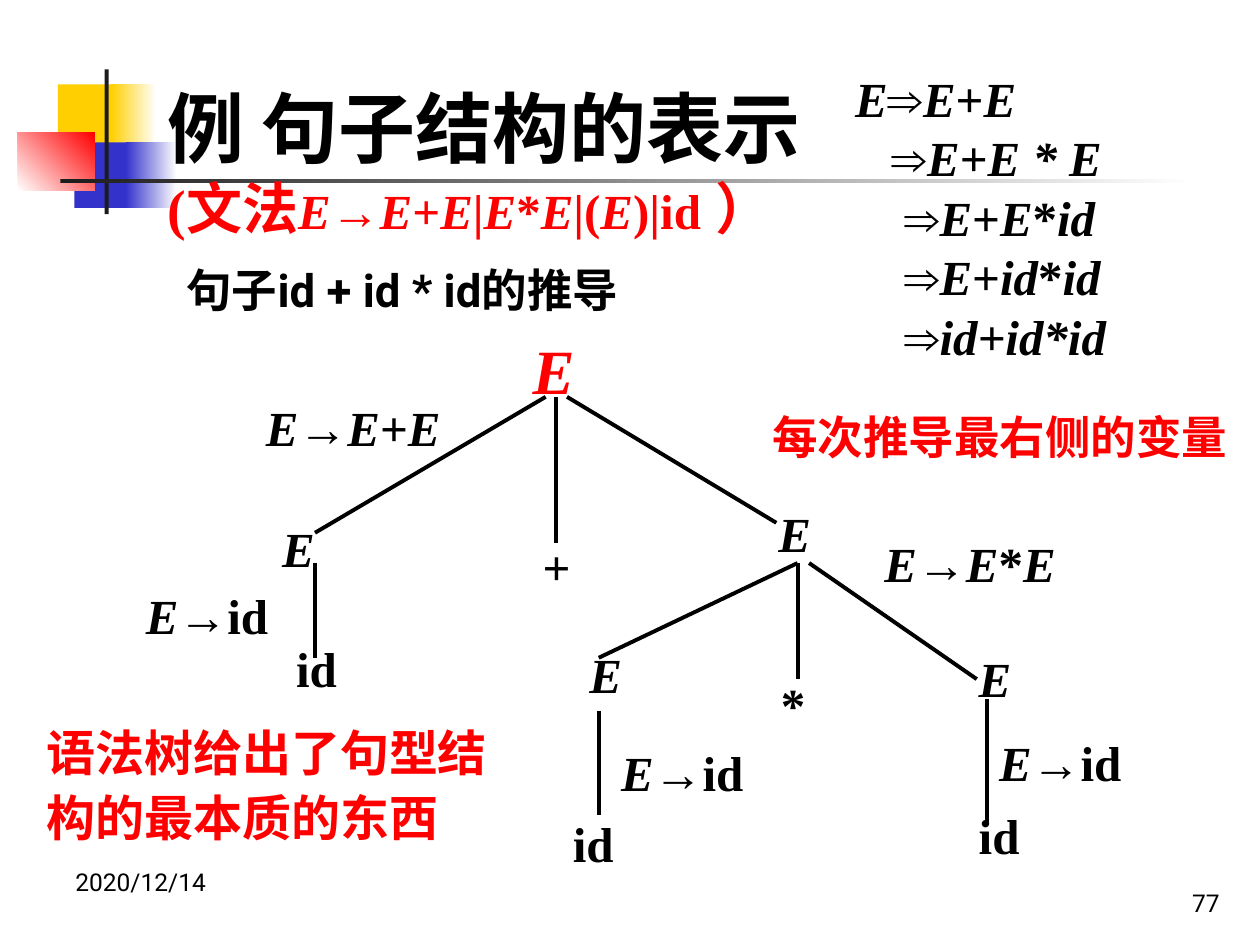
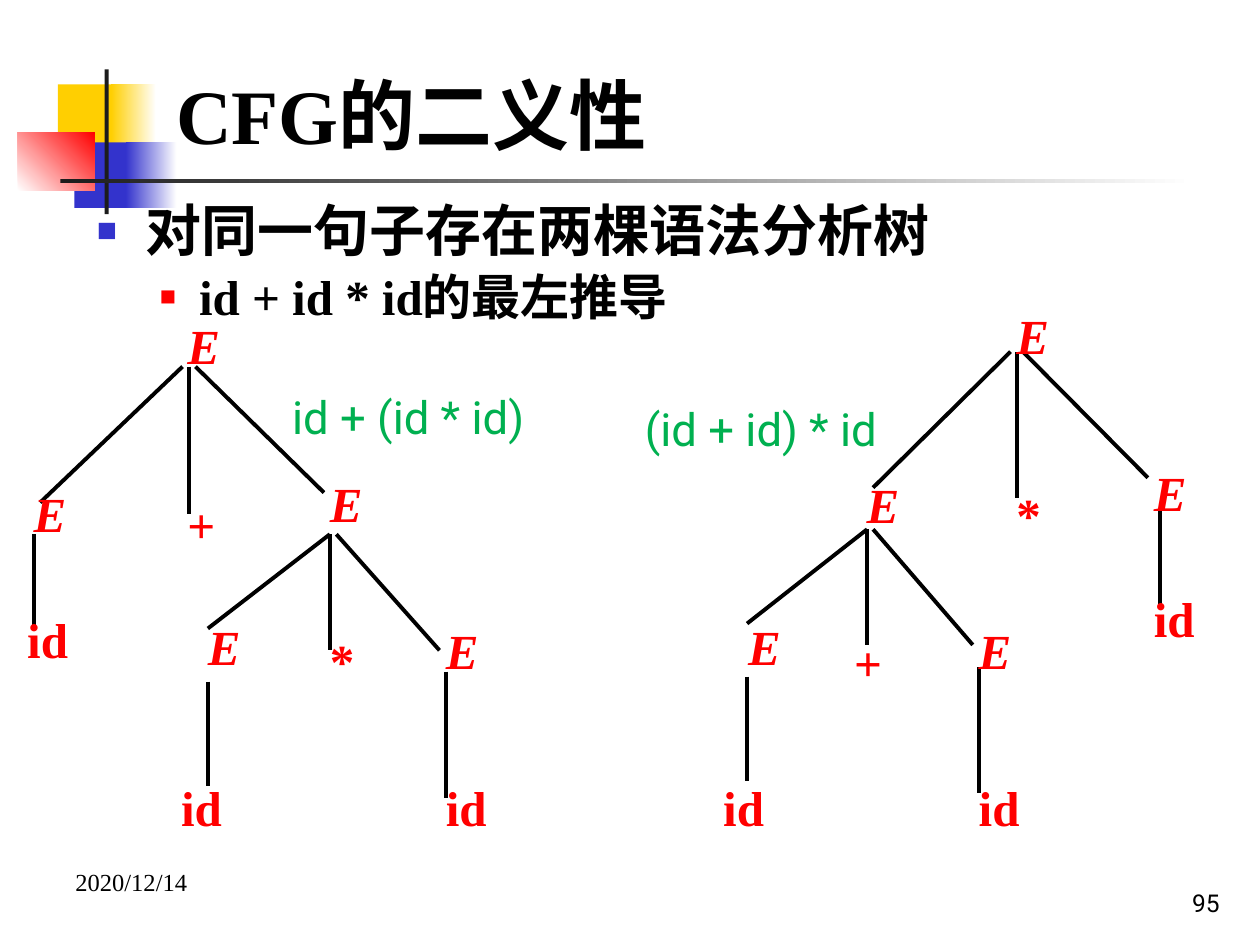
from lxml.etree import SubElement
from pptx import Presentation
from pptx.dml.color import RGBColor
from pptx.enum.shapes import MSO_CONNECTOR as Connector, MSO_SHAPE as Preset
from pptx.enum.text import MSO_ANCHOR as Anchor, MSO_AUTO_SIZE as AutoSize, PP_ALIGN as Align
from pptx.oxml.ns import qn
from pptx.util import Cm, Pt

BLACK, WHITE, RED = "000000", "FFFFFF", "FF0000"
YELLOW, BLUE, GREEN, INK = "FFCF01", "3333CC", "00B050", "1C1C1C"
SERIF, SANS = "Times New Roman", "Roboto"
NODE_HEIGHT = 1.55


def rgb(value):
    return RGBColor.from_string(value)


# Text: underscores switch italics on and off
def write(paragraph, text, size=28, font=SERIF, color=BLACK, bold=True,
          align=Align.LEFT, line=None, before=0, indent=0):
    paragraph.alignment = align
    paragraph.space_before = Pt(before)
    if line:
        paragraph.line_spacing = line
    if indent:
        paragraph._p.get_or_add_pPr().set("marL", str(Cm(indent)))
    for i, part in enumerate(text.split("_")):
        if not part:
            continue
        run = paragraph.add_run()
        run.text = part
        run.font.size = Pt(size)
        run.font.name = font
        run.font.color.rgb = rgb(color)
        run.font.bold = bold
        run.font.italic = i % 2 == 1


def text_box(slide, place, wrap=True, anchor=Anchor.TOP, grow=True):
    frame = slide.shapes.add_textbox(*map(Cm, place)).text_frame
    frame.word_wrap = wrap
    frame.vertical_anchor = anchor
    frame.auto_size = AutoSize.SHAPE_TO_FIT_TEXT if grow else AutoSize.NONE
    return frame


def label(slide, text, place, wrap=True, anchor=Anchor.TOP, grow=True, **style):
    frame = text_box(slide, place, wrap, anchor, grow)
    write(frame.paragraphs[0], text, **style)


def fill_placeholder(placeholder, place, anchor):
    placeholder.left, placeholder.top, placeholder.width, placeholder.height = map(Cm, place)
    frame = placeholder.text_frame
    frame.word_wrap = True
    frame.auto_size = AutoSize.NONE
    frame.vertical_anchor = anchor
    return frame


def bullet(paragraph, color, percent, left, hanging):
    props = paragraph._p.get_or_add_pPr()
    props.set("marL", str(Cm(left)))
    props.set("indent", str(-Cm(hanging)))
    SubElement(SubElement(props, qn("a:buClr")), qn("a:srgbClr")).set("val", color)
    SubElement(props, qn("a:buSzPct")).set("val", str(percent * 1000))
    SubElement(props, qn("a:buChar")).set("char", "■")


# Syntax trees
def nodes(slide, items, width, color):
    for text, left, top in items:
        label(slide, text, (left, top, width, NODE_HEIGHT), color=color, line=1.1)


def branches(slide, starts, top, ends):
    for start, (x, y) in zip(starts, ends):
        edge = slide.shapes.add_connector(
            Connector.STRAIGHT, Cm(start), Cm(top), Cm(x), Cm(y))
        edge.line.color.rgb = rgb(BLACK)
        edge.line.width = Pt(2.25)
        SubElement(edge._element.spPr, qn("a:effectLst"))


def stems(slide, items):
    for x, top, bottom in items:
        branches(slide, [x], top, [(x, bottom)])


# Shared emblem and rule, placed on the master
def block(slide, place, first, last=None, angle=0):
    shape = slide.shapes.add_shape(Preset.RECTANGLE, *map(Cm, place))
    shape.shadow.inherit = False
    shape.line.fill.background()
    if last is None:
        shape.fill.solid()
        shape.fill.fore_color.rgb = rgb(first)
    else:
        shape.fill.gradient()
        shape.fill.gradient_angle = angle
        for stop, color in zip(shape.fill.gradient_stops, (first, last)):
            stop.color.rgb = rgb(color)
    return shape


def decorate_master(prs, slide):
    emblem = [
        block(slide, (1.17, 1.7, 1.22, 1.32), YELLOW),
        block(slide, (2.24, 1.7, 0.91, 1.32), YELLOW, WHITE),
        block(slide, (1.5, 2.87, 1.17, 1.32), BLUE),
        block(slide, (2.54, 2.87, 1.02, 1.32), BLUE, WHITE),
        block(slide, (0.36, 2.67, 1.55, 1.17), WHITE, RED, angle=45),
        block(slide, (2.11, 1.4, 0.08, 2.92), INK),
        block(slide, (1.22, 3.61, 22.86, 0.08), INK, WHITE),
    ]
    for number, shape in enumerate(emblem, start=100):
        shape._element.nvSpPr.cNvPr.set("id", str(number))
        prs.slide_master.shapes._spTree.append(shape._element)


def footer(slide, page, date_font):
    label(slide, "2020/12/14", (1.27, 17.35, 5.92, 1.32), grow=False,
          size=14, font=date_font, bold=False)
    label(slide, page, (19.56, 17.35, 5.28, 1.27), anchor=Anchor.BOTTOM, grow=False,
          size=14, font=SANS, bold=False, align=Align.RIGHT)


def derivation_slide(slide):
    # Title with the grammar below it
    heading = fill_placeholder(slide.shapes.title, (3.12, 1.75, 17.58, 2.97),
                               Anchor.MIDDLE).paragraphs[0]
    write(heading, "例 句子结构的表示", size=44)
    heading.add_line_break()
    write(heading, "(文法", size=32, color=RED)
    write(heading, "_E_→_E_+_E_|_E_*_E_|(_E_)|id", color=RED)
    write(heading, " ）", size=32, color=RED)

    # Tree
    label(slide, "_E_", (10.49, 6.4, 3.18, 1.93), size=36, color=RED, line=1.1)
    nodes(slide, [
        ("_E_", 5.44, 10.21), ("+", 10.69, 10.57), ("_E_", 15.44, 9.91),
        ("id", 5.72, 12.62), ("_E_", 11.63, 12.75), ("*", 15.49, 13.36),
        ("_E_", 19.48, 12.83), ("id", 11.3, 16.15), ("id", 19.48, 16),
    ], 3.18, BLACK)
    branches(slide, (11, 11.2, 11.43), 8,
             [(6.35, 10.74), (11.2, 10.95), (15.65, 10.54)])
    branches(slide, (16.08, 16.08, 16.31), 11.35,
             [(12.07, 13.26), (16.08, 13.69), (19.69, 13.69)])
    stems(slide, [(6.35, 11.35, 13.26), (12.07, 14.33, 16.43), (19.89, 14.1, 16.64)])

    # Productions beside the branches
    for rule, left, top, width in [
        ("_E_→_E_+_E_", 5.11, 7.77, 4.42), ("_E_→id", 2.69, 11.56, 3.23),
        ("_E_→_E_*_E_", 17.58, 10.52, 4.01), ("_E_→id", 12.27, 14.73, 3.43),
        ("_E_→id", 19.89, 14.53, 3.18),
    ]:
        label(slide, rule, (left, top, width, NODE_HEIGHT), line=1.1)

    # Derivation steps
    steps = text_box(slide, (16.99, 1.73, 7.44, 6.27))
    for i, (step, indent) in enumerate([
        ("_E_⇒_E_+_E_", 0), ("⇒_E_+_E * E_", 0.74), ("⇒_E_+_E_*_id_", 0.99),
        ("⇒_E_+_id_*_id_", 0.99), ("⇒_id+id*id_", 0.99),
    ]):
        paragraph = steps.add_paragraph() if i else steps.paragraphs[0]
        write(paragraph, step, line=Pt(20), before=14 if i else 0, indent=indent)

    # Remarks
    label(slide, "语法树给出了句型结构的最本质的东西", (0.69, 14.33, 10.01, 2.9),
          color=RED, line=1.1)
    label(slide, "句子id + id * id的推导", (3.51, 5.16, 10.19, 1.37), wrap=False,
          size=26, font=SANS, align=Align.JUSTIFY)
    label(slide, "每次推导最右侧的变量", (15.32, 8.13, 9.83, 1.37), wrap=False,
          size=26, font=SANS, color=RED)
    footer(slide, "77", SANS)


def ambiguity_slide(slide):
    # Title and list
    heading = fill_placeholder(slide.shapes.title, (3.3, 0.71, 21.59, 3.18), Anchor.MIDDLE)
    write(heading.paragraphs[0], "CFG的二义性", size=44)
    points = fill_placeholder(slide.placeholders[1], (1.7, 3.96, 22.43, 2.97), Anchor.TOP)
    claim, example = points.paragraphs[0], points.add_paragraph()
    example.level = 1
    bullet(claim, BLUE, 60, 0.97, 0.97)
    bullet(example, RED, 55, 2.06, 0.79)
    write(claim, "对同一句子存在两棵语法分析树", size=32, line=0.9, align=Align.JUSTIFY)
    write(example, "id + id * id的最左推导", line=0.9, before=5.6, align=Align.JUSTIFY)

    # Tree that multiplies last
    branches(slide, (20.37, 20.5, 20.62), 7.09,
             [(17.6, 9.83), (20.5, 10.03), (23.14, 9.63)])
    branches(slide, (17.48, 17.48, 17.6), 10.67,
             [(15.06, 12.57), (17.48, 13), (19.61, 13)])
    stems(slide, [(15.06, 13.64, 15.75), (19.74, 13.44, 15.98), (23.39, 10.26, 12.17)])
    nodes(slide, [
        ("_E_", 20.24, 5.92), ("_E_", 17.22, 9.32), ("*", 20.24, 9.53),
        ("_E_", 23.01, 9.09), ("id", 23.01, 11.63), ("_E_", 14.83, 12.19),
        ("+", 16.97, 12.5), ("_E_", 19.48, 12.27), ("id", 14.33, 15.44),
        ("id", 19.48, 15.44),
    ], 1.9, RED)

    # Tree that adds last
    branches(slide, (3.68, 3.81, 3.94), 7.39,
             [(0.81, 10.13), (3.81, 10.36), (6.53, 9.93)])
    branches(slide, (6.65, 6.65, 6.78), 10.77,
             [(4.19, 12.67), (6.65, 13.11), (8.86, 13.11)])
    stems(slide, [(4.19, 13.74, 15.85), (8.99, 13.54, 16.08), (0.69, 10.77, 12.67)])
    nodes(slide, [
        ("_E_", 3.53, 6.12), ("_E_", 0.43, 9.5), ("+", 3.53, 9.73),
        ("_E_", 6.4, 9.3), ("id", 0.3, 12.04), ("_E_", 3.94, 12.19),
        ("*", 6.4, 12.47), ("_E_", 8.74, 12.27), ("id", 3.4, 15.44),
        ("id", 8.74, 15.44),
    ], 1.96, RED)

    # Meaning of each tree
    for meaning, left, top in [("id + (id * id)", 5.64, 7.72), ("(id + id) * id", 12.75, 7.95)]:
        label(slide, meaning, (left, top, 5.8, 1.37), wrap=False,
              size=26, font=SANS, color=GREEN, bold=False)
    footer(slide, "95", SERIF)


def main():
    prs = Presentation()
    prs.slide_width, prs.slide_height = Cm(25.4), Cm(19.05)
    title_only, title_and_list = prs.slide_layouts[5], prs.slide_layouts[1]
    derivation = prs.slides.add_slide(title_only)
    decorate_master(prs, derivation)
    derivation_slide(derivation)
    ambiguity_slide(prs.slides.add_slide(title_and_list))
    prs.save("out.pptx")


if __name__ == "__main__":
    main()
